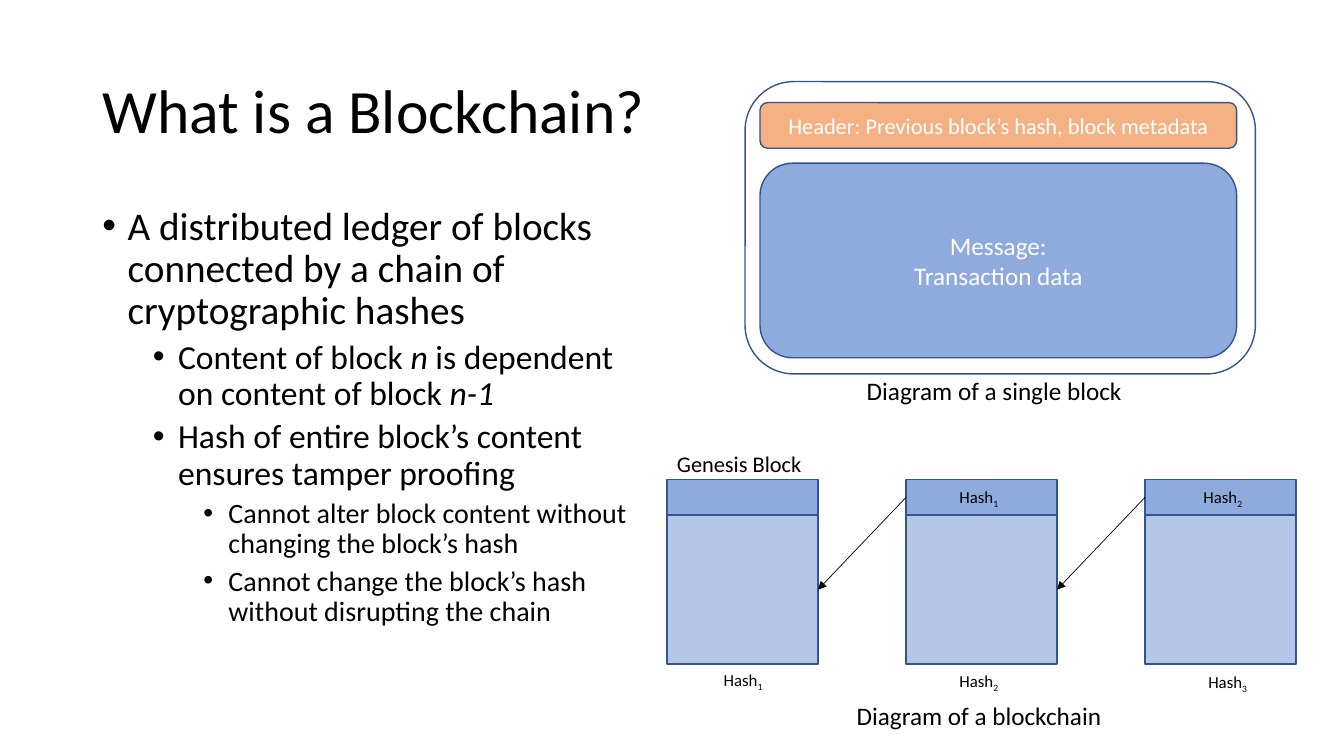
from pptx import Presentation
from pptx.dml.color import RGBColor
from pptx.enum.shapes import MSO_CONNECTOR, MSO_SHAPE
from pptx.enum.text import MSO_ANCHOR, MSO_AUTO_SIZE, PP_ALIGN
from pptx.oxml.ns import qn
from pptx.util import Pt
from lxml import etree

RECT, ROUND = MSO_SHAPE.RECTANGLE, MSO_SHAPE.ROUNDED_RECTANGLE
STRAIGHT = MSO_CONNECTOR.STRAIGHT
LEFT, CENTER = PP_ALIGN.LEFT, PP_ALIGN.CENTER
TOP, MIDDLE = MSO_ANCHOR.TOP, MSO_ANCHOR.MIDDLE
FIXED = MSO_AUTO_SIZE.NONE

BLACK = RGBColor(0x00, 0x00, 0x00)
WHITE = RGBColor(0xFF, 0xFF, 0xFF)
NAVY = RGBColor(0x32, 0x54, 0x91)
BLUE = RGBColor(0x8F, 0xAA, 0xDC)
PALE_BLUE = RGBColor(0xB4, 0xC7, 0xE7)
ORANGE = RGBColor(0xF4, 0xB1, 0x83)

ITALIC, SUBSCRIPT = "italic", "subscript"
SIDE_LEFT, SIDE_RIGHT = 1, 3


class BlockchainSlide:
    font = "Calibri"
    level_sizes = (28, 24, 20)

    def __init__(self, slide):
        self.slide = slide
        self.shapes = slide.shapes

    def add_runs(self, paragraph, runs, size, color):
        for text, style in runs:
            run = paragraph.add_run()
            run.text = text
            run.font.name = self.font
            run.font.size = Pt(size)
            run.font.color.rgb = color
            if style == ITALIC:
                run.font.italic = True
            elif style == SUBSCRIPT:
                run.font._element.set("baseline", "-25000")

    def place(self, holder, box, anchor):
        holder.left, holder.top, holder.width, holder.height = map(Pt, box)
        frame = holder.text_frame
        frame.word_wrap = True
        frame.auto_size = FIXED
        frame.vertical_anchor = anchor
        return frame

    def title(self, text, box):
        paragraph = self.place(self.shapes.title, box, MIDDLE).paragraphs[0]
        paragraph.alignment = LEFT
        paragraph.line_spacing = 0.9
        self.add_runs(paragraph, [(text, None)], 44, BLACK)

    def bullets(self, items, box):
        frame = self.place(self.slide.placeholders[1], box, TOP)
        for index, (level, runs) in enumerate(items):
            paragraph = frame.add_paragraph() if index else frame.paragraphs[0]
            paragraph.level = level
            paragraph.line_spacing = 0.9
            paragraph.space_before = Pt(5 if level else 10)
            properties = paragraph._p.get_or_add_pPr()
            properties.set("marL", str(Pt(18 + 36 * level)))
            properties.set("indent", str(Pt(-18)))
            etree.SubElement(properties, qn("a:buFont")).set("typeface", "Arial")
            etree.SubElement(properties, qn("a:buChar")).set("char", "•")
            self.add_runs(paragraph, runs, self.level_sizes[level], BLACK)

    def panel(self, kind, box, fill=None, lines=(), size=18):
        panel = self.shapes.add_shape(kind, *map(Pt, box))
        panel.shadow.inherit = False
        if fill is None:
            panel.fill.background()
        else:
            panel.fill.solid()
            panel.fill.fore_color.rgb = fill
        panel.line.color.rgb = NAVY
        panel.line.width = Pt(1)
        frame = panel.text_frame
        frame.vertical_anchor = MIDDLE
        for index, line in enumerate(lines):
            paragraph = frame.add_paragraph() if index else frame.paragraphs[0]
            paragraph.alignment = CENTER
            self.add_runs(paragraph, [(line, None)], size, WHITE)
        return panel

    def label(self, runs, box, size):
        frame = self.shapes.add_textbox(*map(Pt, box)).text_frame
        frame.word_wrap = True
        self.add_runs(frame.paragraphs[0], runs, size, BLACK)

    def hash_label(self, number, left, top):
        runs = [("Hash", None), (str(number), SUBSCRIPT)]
        self.label(runs, (left, top, 45.5, 21.8), 12)

    def arrow(self, source, target):
        arrow = self.shapes.add_connector(STRAIGHT, 0, 0, 0, 0)
        arrow.begin_connect(source, SIDE_LEFT)
        arrow.end_connect(target, SIDE_RIGHT)
        arrow.line.color.rgb = BLACK
        arrow.line.width = Pt(0.5)
        properties = arrow._element.spPr
        outline = properties.find(qn("a:ln"))
        etree.SubElement(outline, qn("a:tailEnd")).set("type", "triangle")
        etree.SubElement(properties, qn("a:effectLst"))


def main():
    deck = Presentation()
    deck.slide_width, deck.slide_height = Pt(960), Pt(540)
    page = BlockchainSlide(deck.slides.add_slide(deck.slide_layouts[1]))

    page.title("What is a Blockchain?", (66, 28.75, 828, 104.4))
    page.bullets([
        (0, [("A distributed ledger of blocks connected by a chain of "
              "cryptographic hashes", None)]),
        (1, [("Content of block ", None), ("n", ITALIC),
             (" is dependent on content of block ", None), ("n-1", ITALIC)]),
        (1, [("Hash of entire block’s content ensures tamper proofing", None)]),
        (2, [("Cannot alter block content without changing the block’s hash", None)]),
        (2, [("Cannot change the block’s hash without disrupting the chain", None)]),
    ], (66, 143.75, 399, 342.6))

    page.panel(ROUND, (542.9, 116.6, 340.5, 139), BLUE,
               ["Message:", "Transaction data"])
    page.panel(ROUND, (542.9, 73.3, 340.5, 32.6), ORANGE,
               ["Header: Previous block’s hash, block metadata"], 16)
    page.panel(ROUND, (532.2, 58.3, 364.5, 208.8))
    page.label([("Diagram of a single block", None)], (612, 264.2, 202.3, 29), 18)

    chain_left, block_pitch, block_width = 476.5, 170.7, 107.8
    previous_block = None
    for position in range(3):
        left = chain_left + position * block_pitch
        block = page.panel(RECT, (left, 368, block_width, 106.4), PALE_BLUE)
        header = page.panel(RECT, (left, 342.5, block_width, 25.5), BLUE)
        if previous_block is not None:
            page.arrow(header, previous_block)
        previous_block = block

    page.label([("Genesis Block", None)], (476.5, 318.2, 119.5, 26.6), 16)
    page.label([("Diagram of a blockchain", None)], (604.8, 496.8, 193, 29), 18)
    for number, left, top in ((1, 509.8, 474.5), (1, 678.2, 344.2),
                              (2, 678.2, 475.5), (2, 852.5, 344.2),
                              (3, 856, 475.9)):
        page.hash_label(number, left, top)

    deck.save("out.pptx")


if __name__ == "__main__":
    main()
